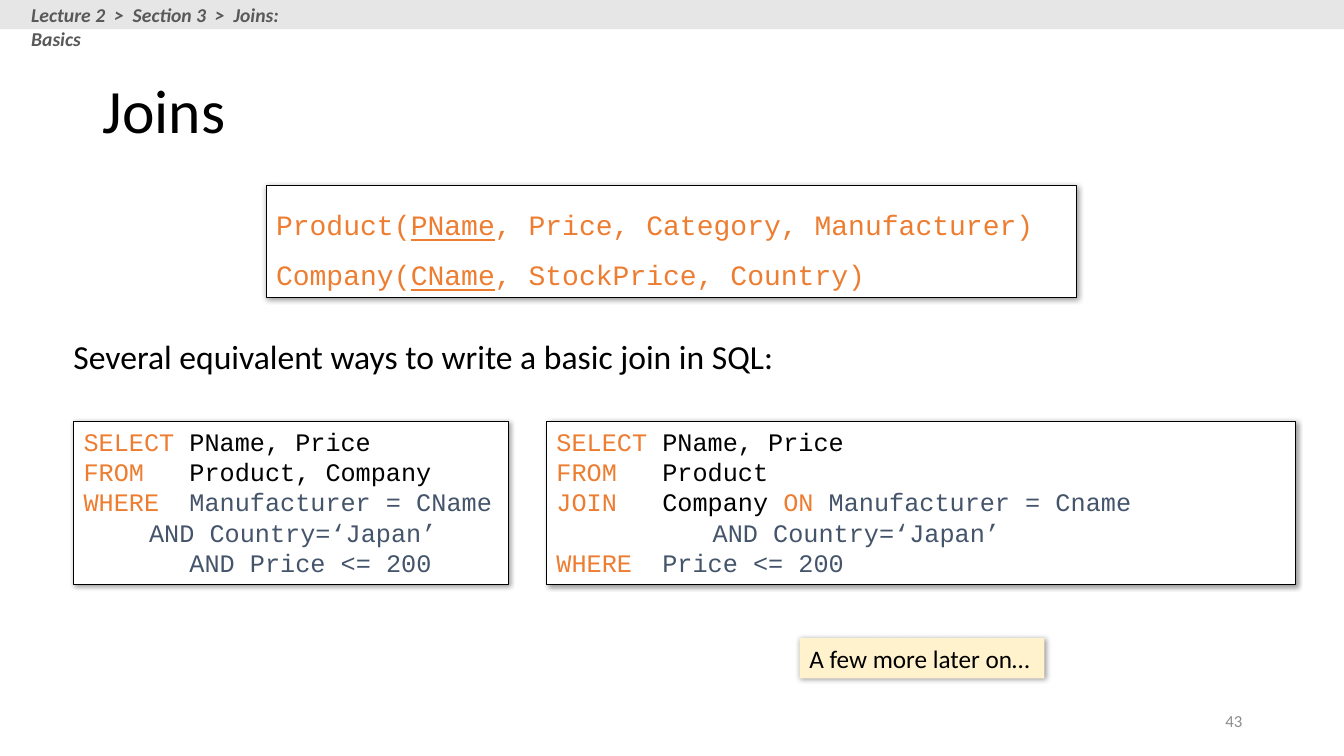
from lxml import etree
from pptx import Presentation
from pptx.dml.color import RGBColor
from pptx.enum.shapes import MSO_SHAPE as Preset
from pptx.enum.text import MSO_ANCHOR as Anchor, PP_ALIGN as Align
from pptx.oxml.ns import qn
from pptx.util import Inches, Pt

COLORS = {
    "black": "000000", "white": "FFFFFF", "keyword": "ED7D31",
    "condition": "44546A", "bar": "E7E6E6", "crumb": "595959",
    "note": "FFF2CC", "number": "8C8C8C",
}

presentation = Presentation()
presentation.slide_width = Inches(13.33)
presentation.slide_height = Inches(7.5)
slide = presentation.slides.add_slide(presentation.slide_layouts[5])


def place(shape, area):
    """Place a shape by left, top, width and height in percent of the slide."""
    sides = (presentation.slide_width, presentation.slide_height) * 2
    for name, share, side in zip(("left", "top", "width", "height"), area, sides):
        setattr(shape, name, int(side * share / 100))


def write(shape, paragraphs, size, font="Calibri", anchor=Anchor.TOP,
          spacing=None, align=Align.LEFT, **formats):
    """Fill a shape with paragraphs, each a list of (text, colour, formats)."""
    frame = shape.text_frame
    frame.word_wrap = True
    frame.vertical_anchor = anchor
    for index, pieces in enumerate(paragraphs):
        paragraph = frame.add_paragraph() if index else frame.paragraphs[0]
        paragraph.alignment = align
        if spacing:
            paragraph.line_spacing = spacing
        for text, color, *extra in pieces:
            for line_index, line in enumerate(text.split("\n")):
                if line_index:
                    paragraph.add_line_break()
                if not line:
                    continue
                run = paragraph.add_run()
                run.text = line
                run.font.color.rgb = RGBColor.from_string(COLORS[color])
                values = {"name": font, "size": Pt(size), **formats}
                for piece_formats in extra:
                    values.update(piece_formats)
                for name, value in values.items():
                    setattr(run.font, name, value)


# Title
title = slide.shapes.title
place(title, (6.9, 5.33, 86.27, 19.33))
write(title, [[("Joins", "black")]], 44, anchor=Anchor.MIDDLE, spacing=0.9)

# Boxes: area, fill, outline, shadow
boxes = {
    "bar": ((0, 0, 100, 3.87), "bar", False, False),
    "where_join": ((5.48, 55.73, 32.33, 21.6), "white", True, True),
    "on_join": ((40.66, 55.73, 55.74, 21.6), "white", True, True),
    "note": ((59.49, 84.4, 18.23, 5.33), "note", False, True),
    "schema": ((19.8, 24.53, 60.32, 14.8), "white", True, True),
}
shapes = {}
for name, (area, fill, outlined, shadowed) in boxes.items():
    shape = shapes[name] = slide.shapes.add_shape(Preset.RECTANGLE, 0, 0, 0, 0)
    place(shape, area)
    shape.shadow.inherit = False
    shape.fill.solid()
    shape.fill.fore_color.rgb = RGBColor.from_string(COLORS[fill])
    if outlined:
        shape.line.color.rgb = RGBColor.from_string(COLORS["black"])
        shape.line.width = Pt(0.75)
    else:
        shape.line.fill.background()
    if shadowed:
        effects = shape._element.spPr.find(qn("a:effectLst"))
        shadow = etree.SubElement(effects, qn("a:outerShdw"), blurRad=str(Pt(4)),
                                  dist=str(Pt(1)), dir=str(45 * 60000))
        tint = etree.SubElement(shadow, qn("a:srgbClr"), val=COLORS["black"])
        etree.SubElement(tint, qn("a:alpha"), val="40000")

# Table schemas, with underlined keys
underlined = {"underline": True}
schemas = [
    ("Product(", "PName", ", Price, Category, Manufacturer)"),
    ("Company(", "CName", ", StockPrice, Country)"),
]
write(shapes["schema"],
      [[(table, "keyword"), (key, "keyword", underlined), (rest, "keyword")]
       for table, key, rest in schemas],
      20, "Courier New", spacing=1.5)

# The two queries
queries = {
    "where_join": [
        [("SELECT ", "keyword"), ("PName, Price\n", "black"),
         ("FROM   ", "keyword"), ("Product, Company\n", "black"),
         ("WHERE  ", "keyword"), ("Manufacturer = CName", "condition")],
        [("\t AND Country=‘Japan’\n       AND Price <= 200", "condition")],
    ],
    "on_join": [
        [("SELECT ", "keyword"), ("PName, Price\n", "black"),
         ("FROM   ", "keyword"), ("Product", "black")],
        [("JOIN   ", "keyword"), ("Company ", "black"), ("ON ", "keyword"),
         ("Manufacturer = Cname", "condition")],
        [("\t       AND Country=‘Japan’\n", "condition"),
         ("WHERE", "keyword"), ("  Price <= 200", "condition")],
    ],
}
for name, query in queries.items():
    write(shapes[name], query, 18, "Courier New")

write(shapes["note"], [[("A few more later on…", "black")]], 18)

# Plain text: area, text, colour, size, formats
labels = [
    ((4.73, 43.73, 58.96, 7.07),
     "Several equivalent ways to write a basic join in SQL:", "black", 24, {}),
    ((1.58, -0.27, 23.56, 4.53), "Lecture 2  >  Section 3  >  Joins: Basics",
     "crumb", 14, {"bold": True, "italic": True}),
    ((70.67, 92.67, 22.5, 5.33), "43", "number", 12,
     {"align": Align.RIGHT, "anchor": Anchor.MIDDLE}),
]
for area, text, color, size, formats in labels:
    label = slide.shapes.add_textbox(0, 0, 0, 0)
    place(label, area)
    write(label, [[(text, color)]], size, **formats)

presentation.save("out.pptx")
